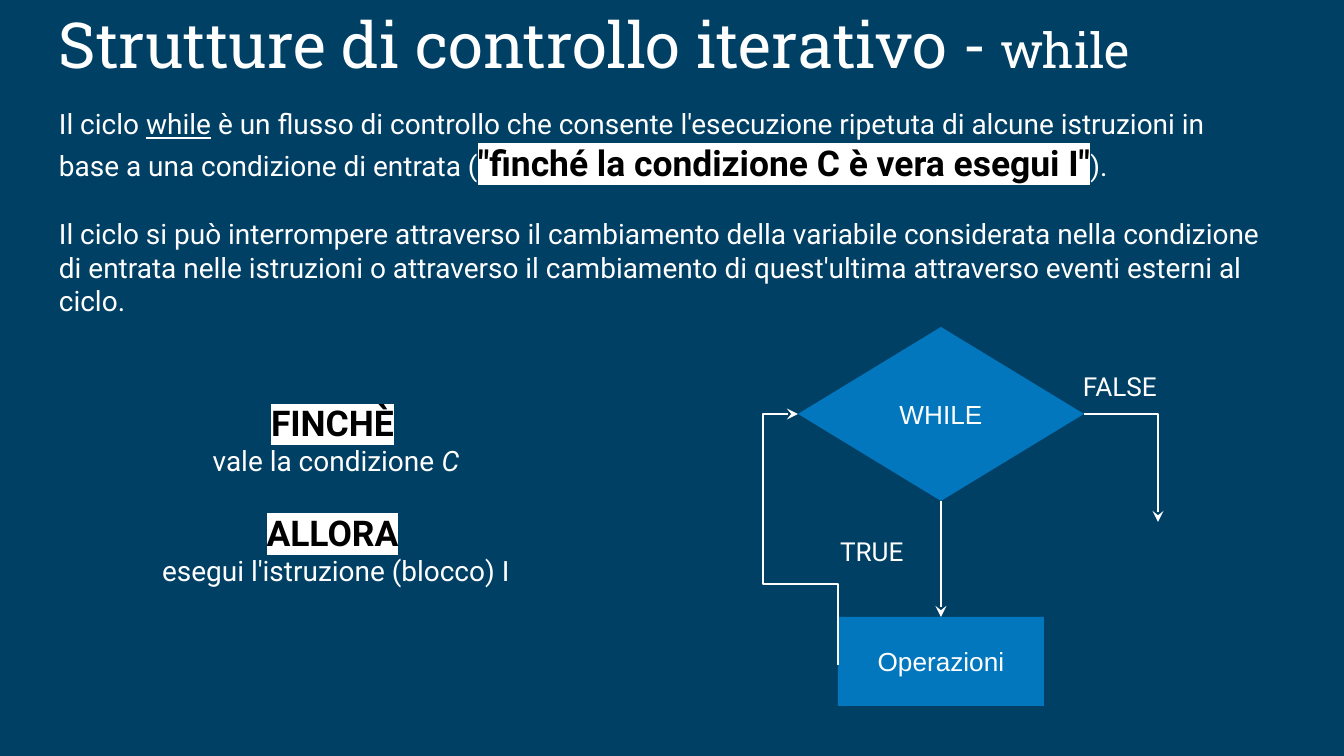
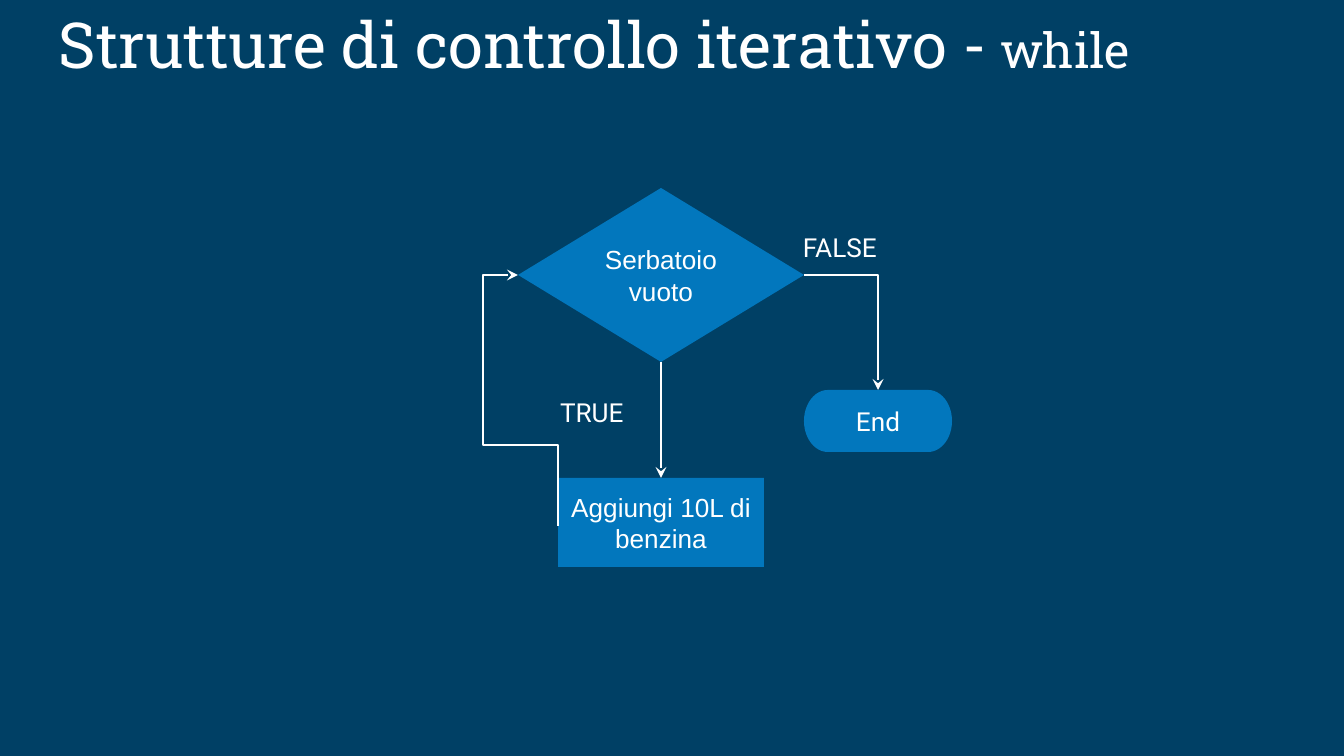
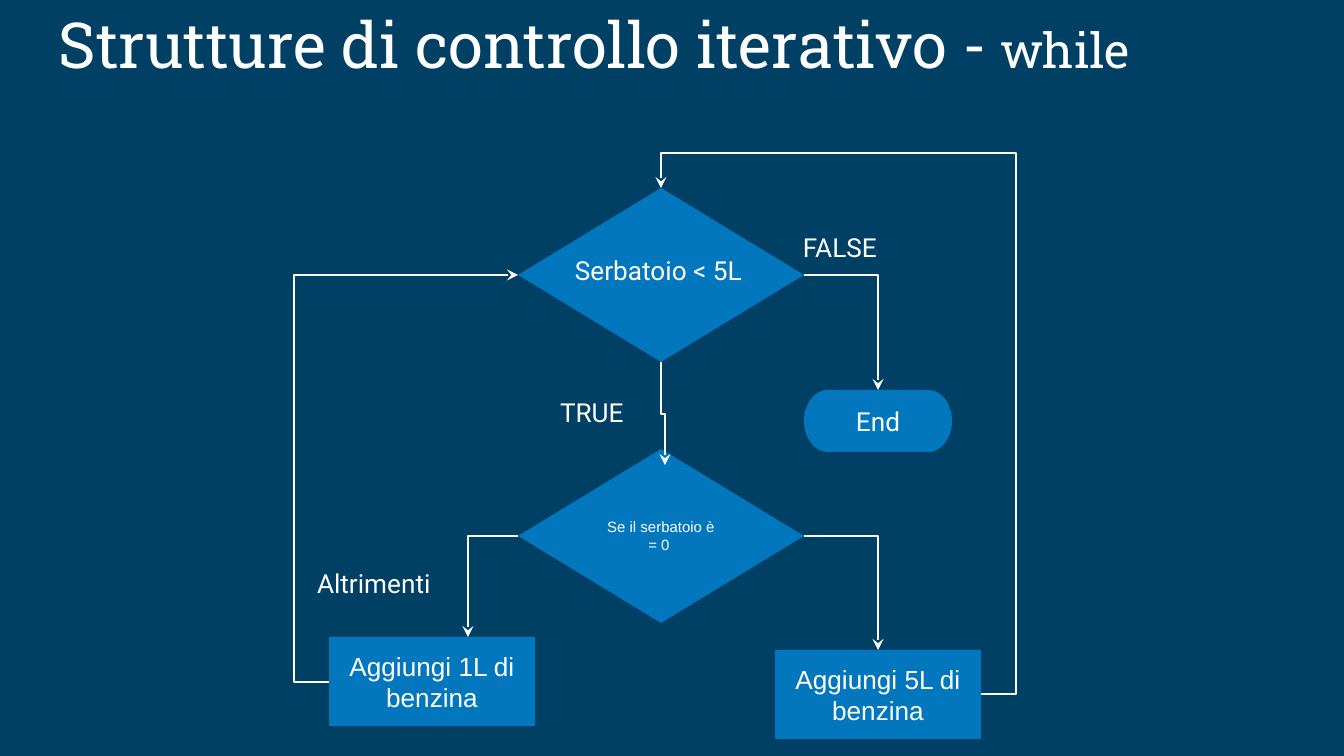
import pptx
import pptx.dml.color
import pptx.enum.shapes
import pptx.enum.text
import pptx.oxml
import pptx.oxml.ns
import pptx.util

RGBColor = pptx.dml.color.RGBColor
NAVY = RGBColor(0x00, 0x40, 0x65)
BLUE = RGBColor(0x02, 0x77, 0xBD)
WHITE = RGBColor(0xFF, 0xFF, 0xFF)
BLACK = RGBColor(0x00, 0x00, 0x00)

SHAPE = pptx.enum.shapes.MSO_SHAPE
CONNECTOR = pptx.enum.shapes.MSO_CONNECTOR
ANCHOR = pptx.enum.text.MSO_ANCHOR
CENTER = pptx.enum.text.PP_ALIGN.CENTER
AUTO_SIZE = pptx.enum.text.MSO_AUTO_SIZE
Pt = pptx.util.Pt
qn = pptx.oxml.ns.qn

EMU_PER_PX = 914400 / 134.4
INSET = 13
DECISION_W, DECISION_H = 286, 174
BOX_W, BOX_H = 206, 89
END_W, END_H = 148, 62

LABEL = dict(name="Roboto", size=Pt(14))
NODE = dict(name="Arial", size=Pt(14))
SMALL_NODE = dict(name="Arial", size=Pt(8))
BODY = dict(name="Roboto", size=Pt(15))
UNDERLINED = dict(BODY, underline=True)
ITALIC = dict(BODY, italic=True)
MARKED = dict(name="Roboto", size=Pt(19), bold=True)
TITLE = dict(name="Roboto Slab", size=Pt(34))
SUBTITLE = dict(name="Roboto Slab", size=Pt(26))
CENTERED = dict(alignment=CENTER)
AFTER_GAP = dict(space_before=Pt(18))


def px(n):
    return pptx.util.Emu(round(n * EMU_PER_PX))


def set_all(obj, values):
    for name, value in values.items():
        setattr(obj, name, value)


def make_element(tag, content="", **attrs):
    text = "".join(f' {name}="{value}"' for name, value in attrs.items())
    return pptx.oxml.parse_xml(
        f'<a:{tag} {pptx.oxml.ns.nsdecls("a")}{text}>{content}</a:{tag}>')


def add_run(p, text, fmt):
    r = p.add_run()
    r.text = text
    set_all(r.font, fmt)
    r.font.color.rgb = BLACK if fmt is MARKED else WHITE
    if fmt is MARKED:
        highlight = make_element("highlight", f'<a:srgbClr val="{WHITE}"/>')
        r.font._element.find(qn("a:solidFill")).addnext(highlight)


def write(sp, paragraphs, anchor=ANCHOR.TOP):
    tf = sp.text_frame
    set_all(tf, dict(word_wrap=True, vertical_anchor=anchor,
                     margin_left=px(INSET), margin_right=px(INSET),
                     margin_top=px(INSET), margin_bottom=px(INSET)))
    for i, (fmt, runs) in enumerate(paragraphs):
        p = tf.add_paragraph() if i else tf.paragraphs[0]
        set_all(p, fmt)
        for text, run_fmt in runs:
            add_run(p, text, run_fmt)


def add_text(s, x, y, w, h, paragraphs, anchor=ANCHOR.TOP):
    sp = s.shapes.add_textbox(px(x), px(y), px(w), px(h))
    write(sp, paragraphs, anchor)
    return sp


def add_label(s, x, y, w, h, text):
    return add_text(s, x, y, w, h, [({}, [(text, LABEL)])])


def add_node(s, kind, x, y, w, h, text="", fmt=NODE):
    sp = s.shapes.add_shape(kind, px(x), px(y), px(w), px(h))
    sp.shadow.inherit = False
    sp.fill.solid()
    sp.fill.fore_color.rgb = BLUE
    sp.line.fill.background()
    if text:
        write(sp, [(CENTERED, [(text, fmt)])], ANCHOR.MIDDLE)
    return sp


def add_box(s, x, y, text):
    return add_node(s, SHAPE.RECTANGLE, x, y, BOX_W, BOX_H, text)


def add_end(s, x, y):
    return add_node(s, SHAPE.FLOWCHART_TERMINATOR, x, y, END_W, END_H, "End", LABEL)


def style_arrow(c):
    c.line.color.rgb = WHITE
    c.line.width = Pt(0.75)
    ln = c._element.spPr.find(qn("a:ln"))
    ln.append(make_element("tailEnd", type="stealth"))
    ln.addnext(make_element("effectLst"))


def add_down_arrow(s, upper, lower):
    c = s.shapes.add_connector(CONNECTOR.STRAIGHT, 0, 0, 0, 0)
    c.begin_connect(upper, 2)
    c.end_connect(lower, 0)
    style_arrow(c)


def add_bent_arrow(s, *points):
    (x1, y1), (x2, y2) = points[0], points[-1]
    dx, dy = x2 - x1, y2 - y1
    upright = points[1][0] == x1
    if upright:
        rot = 90 if dx <= 0 else 270
        flip = (dy < 0) == (rot == 90)
        w, h = abs(dy), abs(dx)
    else:
        rot = 0 if dy >= 0 else 180
        flip = (dx < 0) == (rot == 0)
        w, h = abs(dx), abs(dy)
    left, top = (x1 + x2 - w) / 2, (y1 + y2 - h) / 2
    c = s.shapes.add_connector(CONNECTOR.ELBOW, px(left), px(top), px(left + w), px(top + h))
    xfrm = c._element.spPr.find(qn("a:xfrm"))
    xfrm.set("rot", str(rot * 60000))
    xfrm.set("flipH", str(int(flip)))
    geom = c._element.spPr.find(qn("a:prstGeom"))
    geom.set("prst", f"bentConnector{len(points) - 1}")
    guides = geom.find(qn("a:avLst"))
    for i, (x, y) in enumerate(points[1:-2], 1):
        vertical = upright == (i % 2 == 1)
        ratio = (y - y1) / dy if vertical else (x - x1) / dx
        guides.append(make_element("gd", name=f"adj{i}", fmla=f"val {round(ratio * 100000)}"))
    style_arrow(c)


def add_while_test(s, x, y, exit_y, text=""):
    sp = add_node(s, SHAPE.FLOWCHART_DECISION, x, y, DECISION_W, DECISION_H, text)
    middle, right = y + DECISION_H // 2, x + DECISION_W
    add_bent_arrow(s, (right, middle), (x + 360, middle), (x + 360, exit_y))
    add_label(s, x + 29, y + 195, 97, 50, "TRUE")
    add_label(s, x + 272, y + 30, 122, 50, "FALSE")
    return sp


def add_while_loop(s, x, y, exit_y, test, action):
    decision = add_while_test(s, x, y, exit_y, test)
    box = add_box(s, x + 40, y + 290, action)
    middle = y + DECISION_H // 2
    add_bent_arrow(s, (x + 40, y + 338), (x + 40, y + 257), (x - 35, y + 257),
                   (x - 35, middle), (x, middle))
    add_down_arrow(s, decision, box)


def add_slide(prs):
    s = prs.slides.add_slide(prs.slide_layouts[6])
    s.background.fill.solid()
    s.background.fill.fore_color.rgb = NAVY
    add_text(s, 46, -1, 1252, 95, [({}, [
        ("Strutture di controllo iterativo -", TITLE), (" while", SUBTITLE)])], ANCHOR.BOTTOM)
    return s


def build_definition(prs):
    s = add_slide(prs)
    add_text(s, 46, 94, 1228, 112, [
        ({}, [
            ("Il ciclo ", BODY),
            ("while", UNDERLINED),
            (" è un flusso di controllo che consente l'esecuzione ripetuta di alcune "
             "istruzioni in base a una condizione di entrata (", BODY),
            ('"finché la condizione C è vera esegui I"', MARKED),
            (").", BODY)]),
        (AFTER_GAP, [
            ("Il ciclo si può interrompere attraverso il cambiamento della variabile "
             "considerata nella condizione di entrata nelle istruzioni o attraverso il "
             "cambiamento di quest'ultima attraverso eventi esterni al ciclo.", BODY)])])
    add_text(s, 117, 388, 438, 302, [
        (CENTERED, [("FINCHÈ", MARKED), (" ", BODY)]),
        (CENTERED, [("vale la condizione ", BODY), ("C", ITALIC)]),
        (CENTERED | AFTER_GAP, [("ALLORA", MARKED), (" ", BODY)]),
        (CENTERED, [("esegui l'istruzione (blocco) I", BODY)])])
    add_while_loop(s, 798, 327, 522, "WHILE", "Operazioni")


def build_refill(prs):
    s = add_slide(prs)
    add_while_loop(s, 518, 188, 390, "Serbatoio vuoto", "Aggiungi 10L di benzina")
    add_end(s, 804, 390)


def build_nested_refill(prs):
    s = add_slide(prs)
    add_while_test(s, 518, 188, 390)
    add_label(s, 562, 241, 198, 59, "Serbatoio < 5L").text_frame.auto_size = AUTO_SIZE.SHAPE_TO_FIT_TEXT
    add_end(s, 804, 390)
    add_node(s, SHAPE.FLOWCHART_DECISION, 518, 449, DECISION_W, DECISION_H,
             "Se il serbatoio è = 0 ", SMALL_NODE)
    add_box(s, 329, 637, "Aggiungi 1L di benzina")
    add_box(s, 775, 650, "Aggiungi 5L di benzina")
    add_label(s, 304, 554, 155, 50, "Altrimenti")
    for points in (
        [(661, 362), (661, 414), (665, 414), (665, 465)],
        [(804, 536), (878, 536), (878, 650)],
        [(518, 536), (468, 536), (468, 637)],
        [(329, 682), (294, 682), (294, 275), (518, 275)],
        [(981, 694), (1016, 694), (1016, 153), (661, 153), (661, 188)],
    ):
        add_bent_arrow(s, *points)


def main():
    prs = pptx.Presentation()
    prs.slide_width, prs.slide_height = px(1344), px(756)
    build_definition(prs)
    build_refill(prs)
    build_nested_refill(prs)
    prs.save("out.pptx")


if __name__ == "__main__":
    main()
